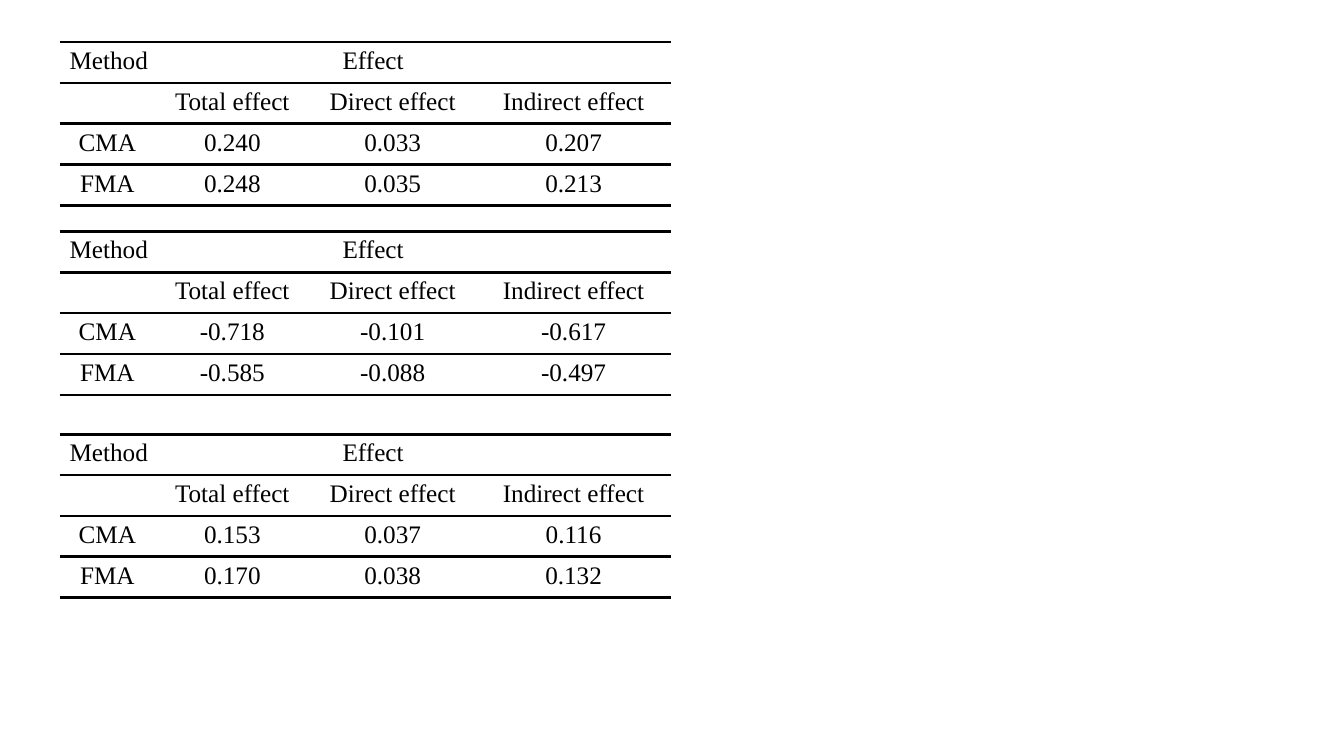
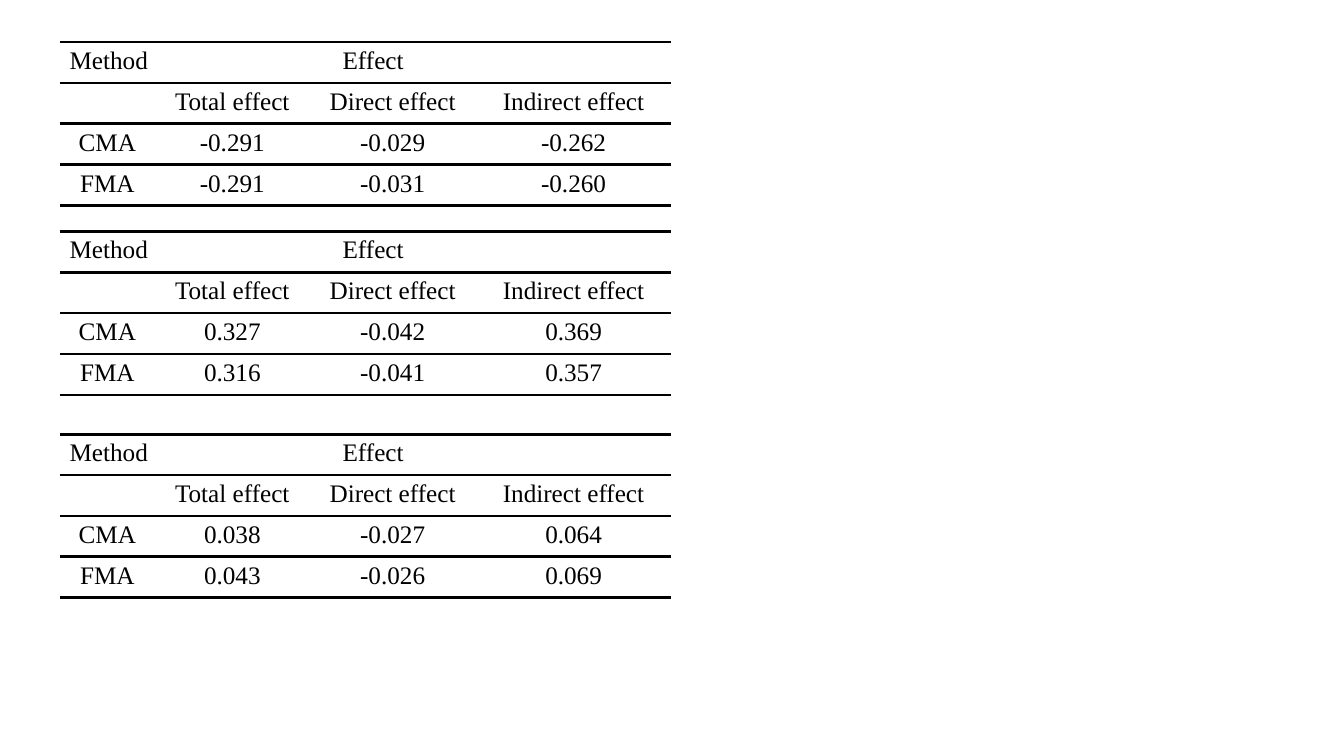
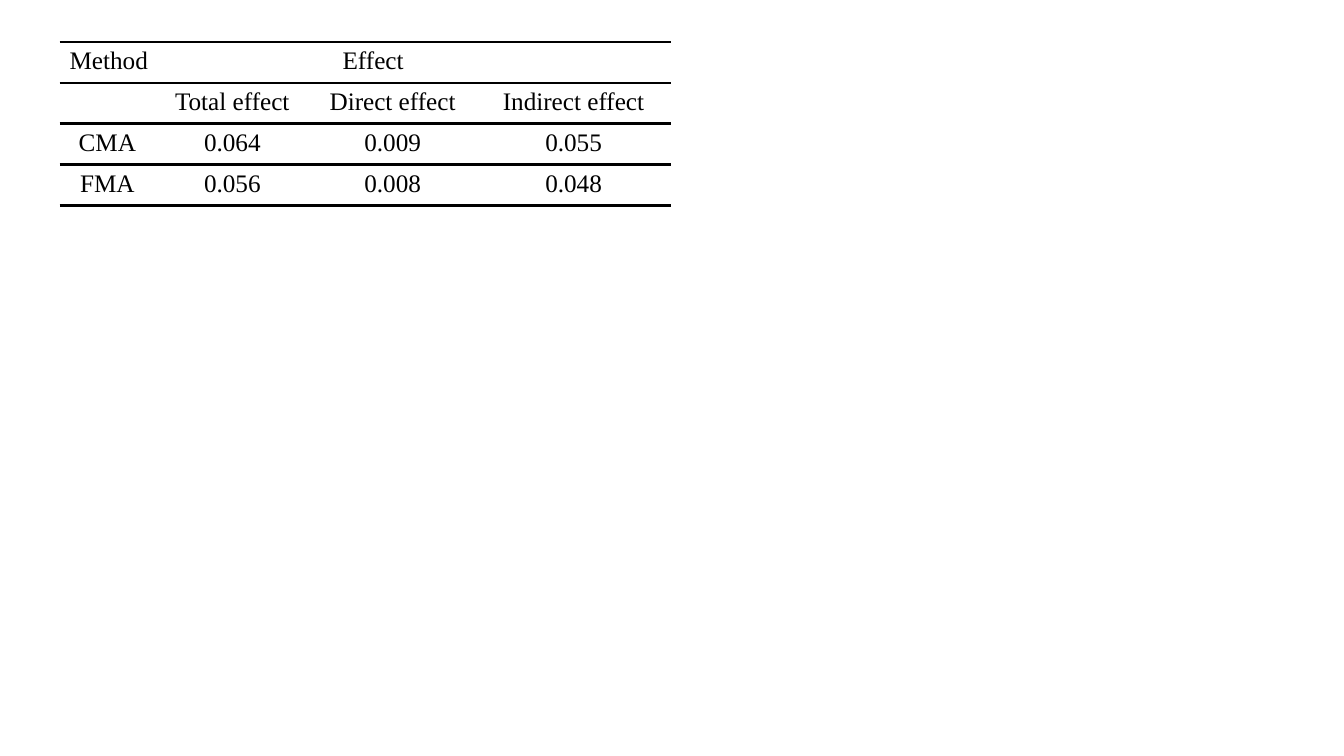
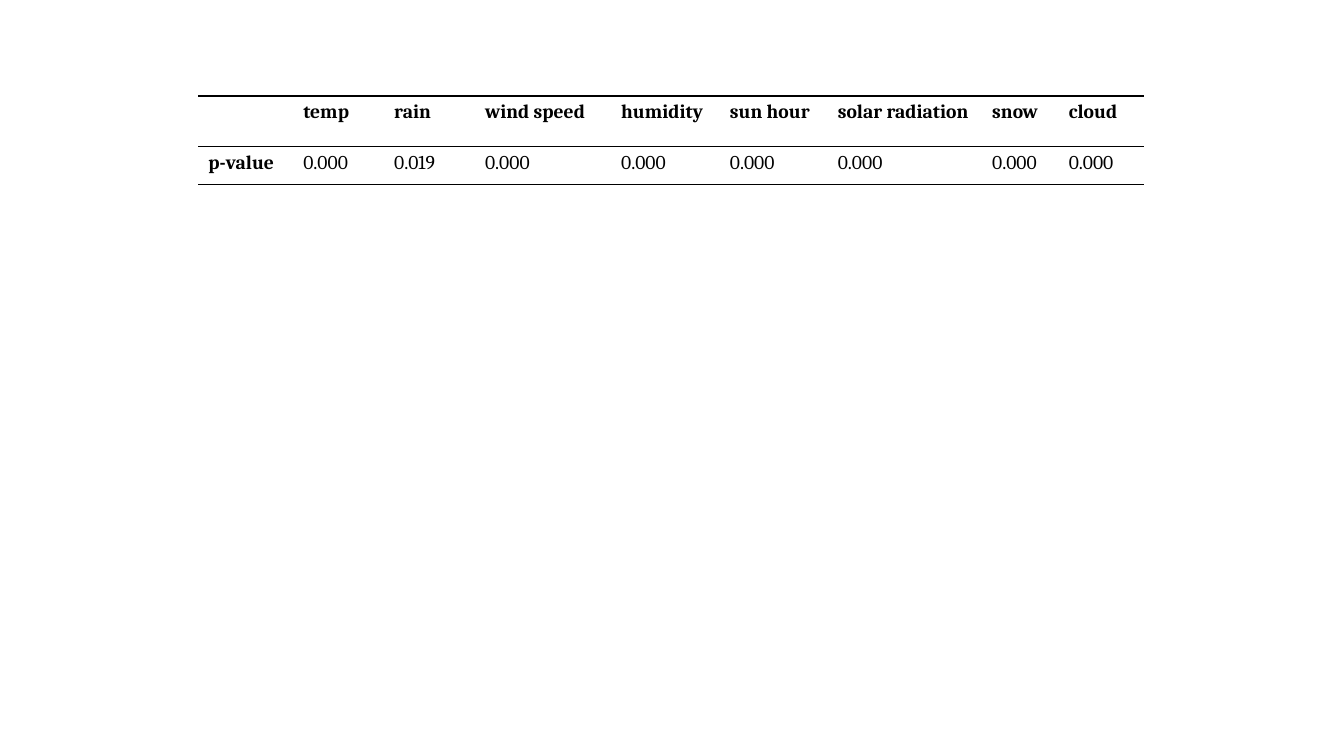
import lxml.etree
import pptx
import pptx.dml.color
import pptx.enum.text
import pptx.oxml.ns
import pptx.util

Cm = pptx.util.Cm
Pt = pptx.util.Pt
qn = pptx.oxml.ns.qn
LEFT = pptx.enum.text.PP_ALIGN.LEFT
CENTER = pptx.enum.text.PP_ALIGN.CENTER

THEME = {
    "ink": "000000",
    "plain_table": "{2D5ABB26-0587-4C30-8999-92F81FD0307C}",
    "effect": {"name": "Times New Roman", "size": Pt(18)},
    "p_value": {"name": "Cambria", "size": Pt(14)},
    "effect_rule": Pt(2.25),
    "p_value_rule": Pt(1),
}

EFFECT_LEFT = 1.5
EFFECT_TOPS = [1.06, 5.83, 10.94]
EFFECT_COLUMNS = [2.41, 3.89, 4.19, 4.93]
EFFECT_ROWS = [1.03] * 4
EFFECT_TAB = 6.88
EFFECT_HEADINGS = ["", "Total effect", "Direct effect", "Indirect effect"]
METHODS = ["CMA", "FMA"]

EFFECT_SLIDES = [
    [
        [["0.240", "0.033", "0.207"], ["0.248", "0.035", "0.213"]],
        [["-0.718", "-0.101", "-0.617"], ["-0.585", "-0.088", "-0.497"]],
        [["0.153", "0.037", "0.116"], ["0.170", "0.038", "0.132"]],
    ],
    [
        [["-0.291", "-0.029", "-0.262"], ["-0.291", "-0.031", "-0.260"]],
        [["0.327", "-0.042", "0.369"], ["0.316", "-0.041", "0.357"]],
        [["0.038", "-0.027", "0.064"], ["0.043", "-0.026", "0.069"]],
    ],
    [
        [["0.064", "0.009", "0.055"], ["0.056", "0.008", "0.048"]],
    ],
]

P_VALUE_COLUMNS = [2.39, 2.29, 2.29, 3.43, 2.74, 2.72, 3.89, 1.93, 2.16]
P_VALUE_ROWS = [1.28, 0.95]
P_VALUES = [
    ["", "temp", "rain", "wind speed", "humidity", "sun hour", "solar radiation", "snow", "cloud"],
    ["p-value", "0.000", "0.019", "0.000", "0.000", "0.000", "0.000", "0.000", "0.000"],
]


def add_ruled_table(slide, left, top, columns, rows, rules, rule_width):
    shape = slide.shapes.add_table(
        len(rows), len(columns), Cm(left), Cm(top), Cm(sum(columns)), Cm(sum(rows))
    )
    table = shape.table
    table.first_row = False
    table.horz_banding = False
    table._tbl.tblPr.find(qn("a:tableStyleId")).text = THEME["plain_table"]
    for column, width in zip(table.columns, columns):
        column.width = Cm(width)
    for index, (row, height) in enumerate(zip(table.rows, rows)):
        row.height = Cm(height)
        for cell in row.cells:
            properties = cell._tc.get_or_add_tcPr()
            for tag, edge in (("a:lnT", index), ("a:lnB", index + 1)):
                if edge in rules:
                    line = lxml.etree.SubElement(properties, qn(tag), w=str(rule_width))
                    fill = lxml.etree.SubElement(line, qn("a:solidFill"))
                    lxml.etree.SubElement(fill, qn("a:srgbClr"), val=THEME["ink"])
            cell.fill.background()
    return table


def write_cell(cell, text, alignment, font_format):
    paragraph = cell.text_frame.paragraphs[0]
    paragraph.alignment = alignment
    if text:
        run = paragraph.add_run()
        run.text = text
        run.font.color.rgb = pptx.dml.color.RGBColor.from_string(THEME["ink"])
        for attribute, value in font_format.items():
            setattr(run.font, attribute, value)
    return paragraph


presentation = pptx.Presentation()
presentation.slide_width = Cm(33.87)
presentation.slide_height = Cm(19.05)
blank_layout = presentation.slide_layouts[6]

for effect_tables in EFFECT_SLIDES:
    slide = presentation.slides.add_slide(blank_layout)
    for top, effects in zip(EFFECT_TOPS, effect_tables):
        table = add_ruled_table(
            slide, EFFECT_LEFT, top, EFFECT_COLUMNS, EFFECT_ROWS, {0, 1, 2, 4}, THEME["effect_rule"]
        )
        table.cell(0, 0).merge(table.cell(0, len(EFFECT_COLUMNS) - 1))
        heading = write_cell(table.cell(0, 0), "Method\tEffect", LEFT, THEME["effect"])
        tabs = lxml.etree.SubElement(heading._p.get_or_add_pPr(), qn("a:tabLst"))
        lxml.etree.SubElement(tabs, qn("a:tab"), pos=str(Cm(EFFECT_TAB)), algn="l")
        lines = [EFFECT_HEADINGS] + [[method] + values for method, values in zip(METHODS, effects)]
        for row_index, line in enumerate(lines, start=1):
            for column_index, text in enumerate(line):
                write_cell(table.cell(row_index, column_index), text, CENTER, THEME["effect"])

slide = presentation.slides.add_slide(blank_layout)
table = add_ruled_table(
    slide, 5, 2.42, P_VALUE_COLUMNS, P_VALUE_ROWS, {0, 1, 2}, THEME["p_value_rule"]
)
for row_index, line in enumerate(P_VALUES):
    for column_index, text in enumerate(line):
        font_format = {**THEME["p_value"], "bold": row_index == 0 or column_index == 0}
        write_cell(table.cell(row_index, column_index), text, LEFT, font_format)

presentation.save("out.pptx")
